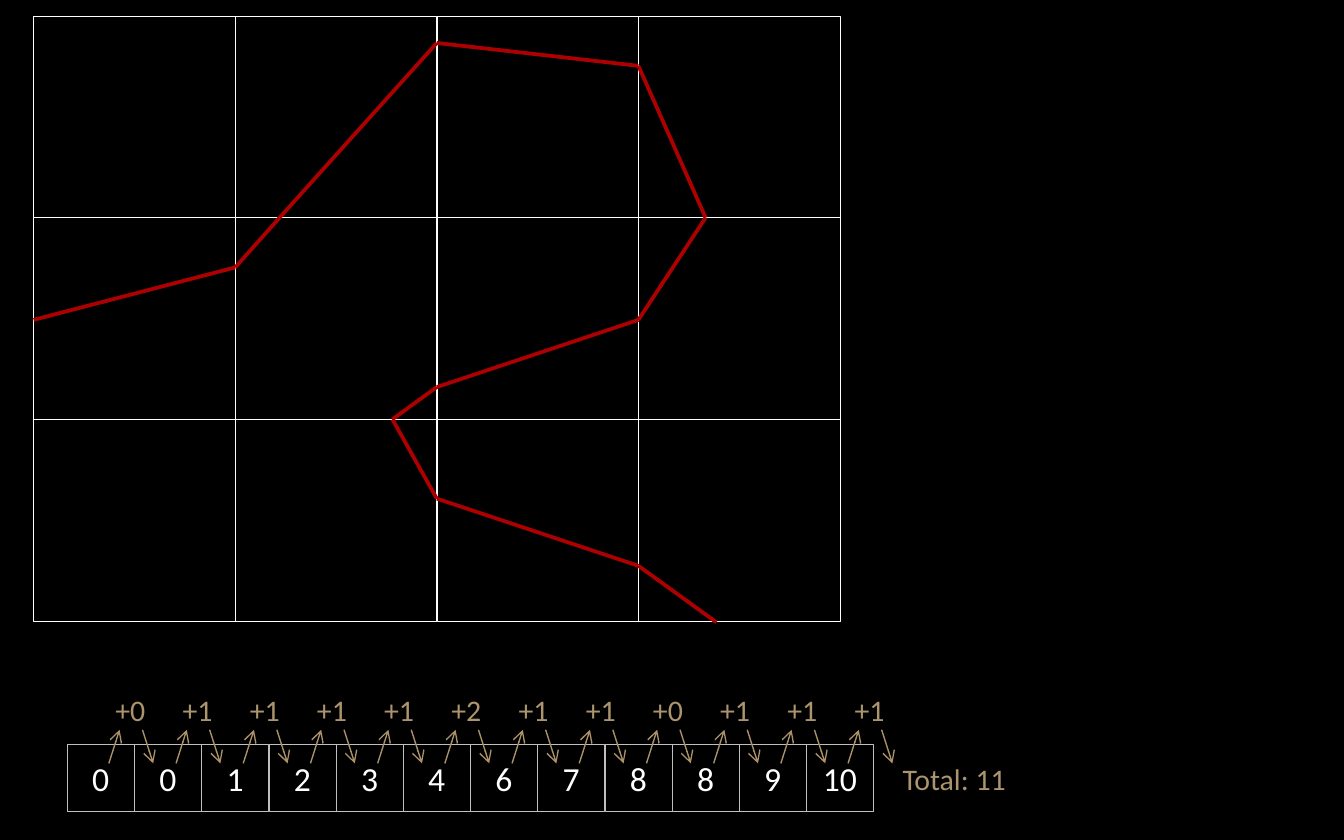
from itertools import accumulate, pairwise, product

from lxml import etree
from pptx import Presentation
from pptx import util as u
from pptx.dml.color import RGBColor
from pptx.enum import shapes, text
from pptx.oxml.ns import qn

COLORS = {"background": "000000", "grid": "FFFFFF", "curve": "AD0101",
          "cell": "BFBFBF", "digit": "FFFFFF", "step": "AC956E", "arrow": "AA926A"}
FONT = "Calibri"

GRID_LEFT, GRID_TOP, TILE = 0.25, 0.12, 1.5
GRID_COLS, GRID_ROWS = 4, 3
CURVE = [(0.25, 2.38), (1.75, 1.99), (2.08, 1.62), (3.25, 0.32), (4.75, 0.49),
         (5.25, 1.62), (4.75, 2.38), (3.25, 2.88), (2.92, 3.12), (3.25, 3.71),
         (4.75, 4.21), (5.33, 4.63)]

CELL, CELLS_LEFT, CELLS_TOP = 0.5, 0.5, 5.54
STEPS_LEFT, STEPS_TOP = 0.72, 5.03
ARROW_TOP, ARROW_BOTTOM = 5.43, 5.68
STEPS = [0, 1, 1, 1, 1, 2, 1, 1, 0, 1, 1, 1]


def rgb(name):
    return RGBColor.from_string(COLORS[name])


def add_square(slide, left, top, size, color):
    sp = slide.shapes.add_shape(shapes.MSO_SHAPE.RECTANGLE,
                                *map(u.Inches, (left, top, size, size)))
    sp.shadow.inherit = False
    sp.fill.background()
    sp.line.color.rgb = rgb(color)
    sp.line.width = u.Pt(0.25)
    return sp


def write(sp, content, size, color):
    """Put one centred line of text into a shape."""
    tf = sp.text_frame
    tf.text = content
    tf.word_wrap = True
    tf.margin_left = tf.margin_right = 0
    tf.vertical_anchor = text.MSO_ANCHOR.MIDDLE
    p = tf.paragraphs[0]
    p.alignment = text.PP_ALIGN.CENTER
    font = p.runs[0].font
    font.name, font.size, font.color.rgb = FONT, u.Pt(size), rgb(color)


def add_label(slide, left, top, width, content):
    box = slide.shapes.add_textbox(*map(u.Inches, (left, top, width, CELL)))
    write(box, content, 16, "step")


def add_line(parent, start, end, color, width, arrow=False):
    line = parent.shapes.add_connector(shapes.MSO_CONNECTOR.STRAIGHT,
                                       *map(u.Inches, (*start, *end)))
    line.line.color.rgb = rgb(color)
    line.line.width = u.Pt(width)
    if arrow:
        etree.SubElement(line.line._get_or_add_ln(), qn("a:tailEnd"), type="arrow")
    etree.SubElement(line._element.spPr, qn("a:effectLst"))


def add_grid(slide):
    for row, col in product(range(GRID_ROWS), range(GRID_COLS)):
        add_square(slide, GRID_LEFT + col * TILE, GRID_TOP + row * TILE, TILE, "grid")


def add_curve(slide):
    for start, end in pairwise(CURVE):
        add_line(slide, start, end, "curve", 2)


def add_arrow_pair(slide, left):
    """Arrow up from a cell to its step, and down to the next cell."""
    group = slide.shapes.add_group_shape()
    add_line(group, (left, ARROW_BOTTOM), (left + 0.08, ARROW_TOP), "arrow", 0.75, True)
    add_line(group, (left + 0.25, ARROW_TOP), (left + 0.33, ARROW_BOTTOM),
             "arrow", 0.75, True)


def add_running_sum(slide):
    *sums, total = accumulate(STEPS, initial=0)
    for i, value in enumerate(sums):
        cell = add_square(slide, CELLS_LEFT + i * CELL, CELLS_TOP, CELL, "cell")
        write(cell, str(value), 18, "digit")
    for i, step in enumerate(STEPS):
        add_label(slide, STEPS_LEFT + i * CELL, STEPS_TOP, CELL, f"+{step}")
    for i in range(len(STEPS)):
        add_arrow_pair(slide, 0.81 + i * CELL)
    add_label(slide, 6.56, CELLS_TOP, 1.08, f"Total: {total}")


def main():
    prs = Presentation()
    prs.slide_width, prs.slide_height = u.Inches(10), u.Inches(6.25)
    slide = prs.slides.add_slide(prs.slide_layouts[6])
    slide.background.fill.solid()
    slide.background.fill.fore_color.rgb = rgb("background")
    add_grid(slide)
    add_curve(slide)
    add_running_sum(slide)
    prs.save("out.pptx")


if __name__ == "__main__":
    main()
